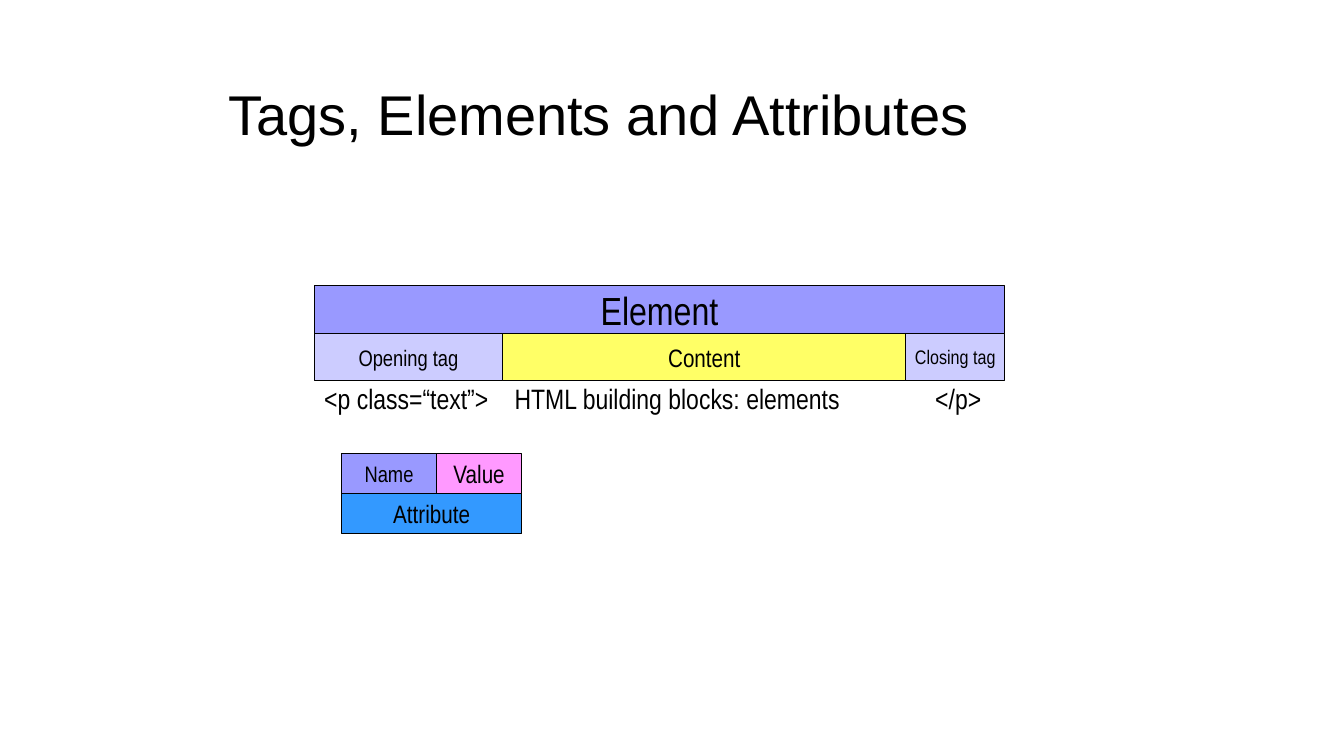
from lxml.etree import SubElement
from pptx import Presentation
from pptx.dml.color import RGBColor
from pptx.enum.shapes import MSO_SHAPE
from pptx.enum.text import MSO_ANCHOR, PP_ALIGN
from pptx.oxml.ns import qn
from pptx.util import Cm, Pt

BLACK = RGBColor(0x00, 0x00, 0x00)
VIOLET = RGBColor(0x99, 0x99, 0xFF)
LAVENDER = RGBColor(0xCC, 0xCC, 0xFF)
YELLOW = RGBColor(0xFF, 0xFF, 0x66)
PINK = RGBColor(0xFF, 0x99, 0xFF)
BLUE = RGBColor(0x33, 0x99, 0xFF)

ELEMENT_LEFT, ELEMENT_TOP, ELEMENT_ROW = 7.92, 7.2, 1.2
ATTRIBUTE_LEFT, ATTRIBUTE_TOP, ATTRIBUTE_ROW = 8.61, 11.43, 1.01

# Label, width in cm, fill, text size
ELEMENT_PARTS = [
    ("Opening tag", 4.75, LAVENDER, 16),
    ("Content", 10.16, YELLOW, 18),
    ("Closing tag", 2.49, LAVENDER, 14),
]
ATTRIBUTE_PARTS = [
    ("Name", 2.39, VIOLET, 16),
    ("Value", 2.15, PINK, 18),
]


def write(frame, text, size, font_name):
    frame.text = text
    paragraph = frame.paragraphs[0]
    paragraph.font.size = Pt(size)
    paragraph.font.name = font_name
    paragraph.font.color.rgb = BLACK
    return paragraph


def add_text(slide, text, left, top, width, height, size, font_name, anchor):
    frame = slide.shapes.add_textbox(Cm(left), Cm(top), Cm(width), Cm(height)).text_frame
    frame.word_wrap = True
    frame.vertical_anchor = anchor
    return write(frame, text, size, font_name)


def add_tab_stops(paragraph, positions):
    tab_list = SubElement(paragraph._p.get_or_add_pPr(), qn("a:tabLst"))
    # Tab stops come before the default run properties
    tab_list.getparent().insert(0, tab_list)
    for position in positions:
        SubElement(tab_list, qn("a:tab"), pos=str(int(Cm(position))), algn="l")


def add_block(slide, label, left, top, width, height, fill, size):
    block = slide.shapes.add_shape(
        MSO_SHAPE.RECTANGLE, Cm(left), Cm(top), Cm(width), Cm(height))
    block.shadow.inherit = False
    block.fill.solid()
    block.fill.fore_color.rgb = fill
    block.line.color.rgb = BLACK
    block.line.width = Pt(0.75)
    block.text_frame.word_wrap = False
    block.text_frame.vertical_anchor = MSO_ANCHOR.MIDDLE
    write(block.text_frame, label, size, "Arial Narrow").alignment = PP_ALIGN.CENTER


def add_row(slide, parts, left, top, height):
    for label, width, fill, size in parts:
        add_block(slide, label, left, top, width, height, fill, size)
        left += width


def total_width(parts):
    return sum(width for _, width, _, _ in parts)


def main():
    presentation = Presentation()
    presentation.slide_width = Cm(33.87)
    presentation.slide_height = Cm(19.05)
    slide = presentation.slides.add_slide(presentation.slide_layouts[6])

    # Title
    add_text(slide, "Tags, Elements and Attributes", 5.51, 1.27, 22.86, 3.18,
             40, "Arial", MSO_ANCHOR.MIDDLE)

    # Element above its three parts
    whole_element = [("Element", total_width(ELEMENT_PARTS), VIOLET, 28)]
    for row, parts in enumerate([whole_element, ELEMENT_PARTS]):
        add_row(slide, parts, ELEMENT_LEFT, ELEMENT_TOP + row * ELEMENT_ROW, ELEMENT_ROW)

    # Code line, aligned with the parts above
    code = add_text(slide, "<p class=“text”>\tHTML building blocks: elements\t</p>",
                    ELEMENT_LEFT, 9.5, 17.8, 1.12, 20, "Arial Narrow", MSO_ANCHOR.TOP)
    add_tab_stops(code, [4.8, 15.4])

    # Attribute below its name and value
    whole_attribute = [("Attribute", total_width(ATTRIBUTE_PARTS), BLUE, 18)]
    for row, parts in enumerate([ATTRIBUTE_PARTS, whole_attribute]):
        add_row(slide, parts, ATTRIBUTE_LEFT, ATTRIBUTE_TOP + row * ATTRIBUTE_ROW,
                ATTRIBUTE_ROW)

    presentation.save("out.pptx")


if __name__ == "__main__":
    main()
